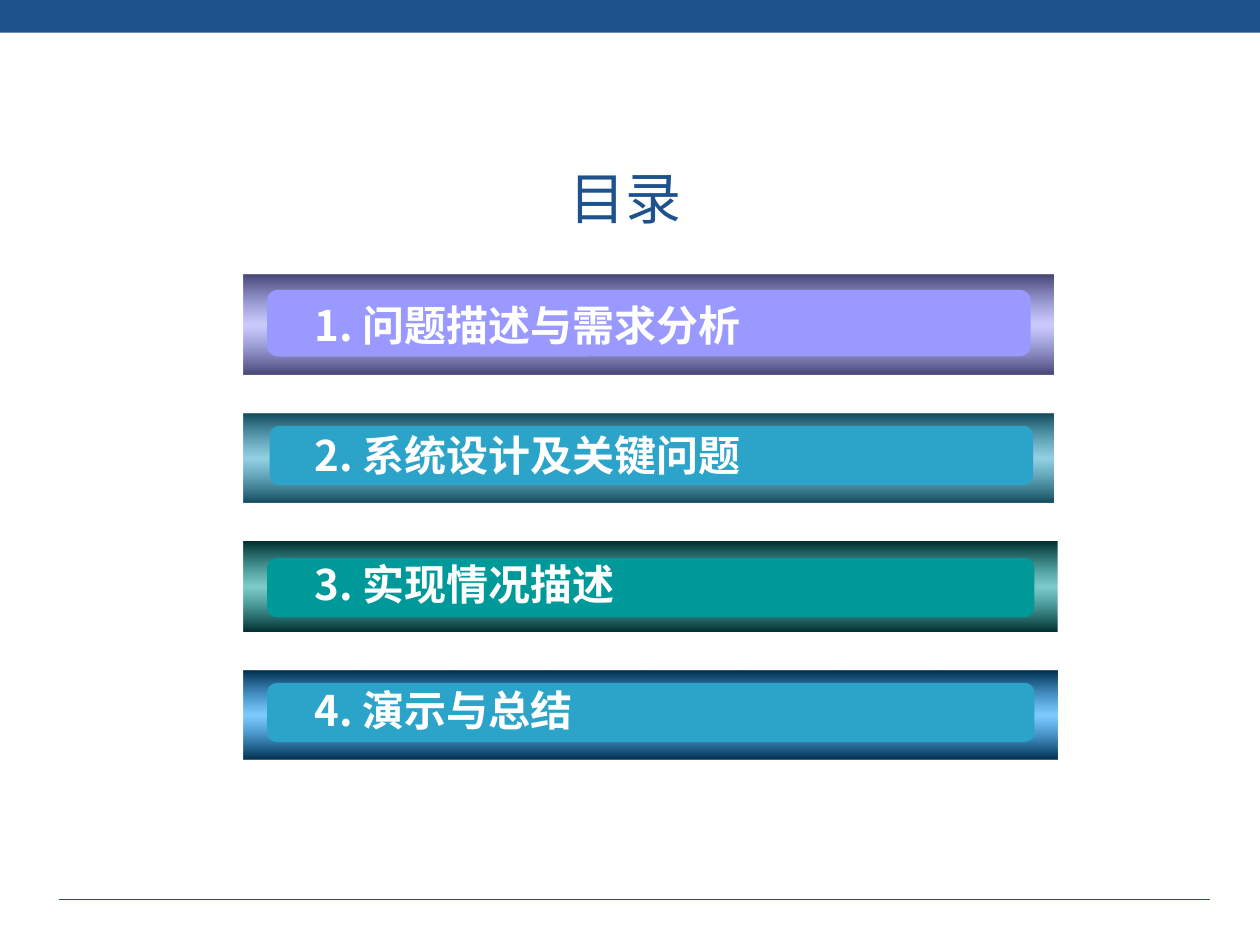
from dataclasses import dataclass

from lxml.etree import SubElement
from pptx import Presentation
from pptx.dml.color import RGBColor
from pptx.enum.shapes import MSO_CONNECTOR as Connector, MSO_SHAPE as Preset
from pptx.enum.text import MSO_ANCHOR as Anchor, PP_ALIGN as Align
from pptx.oxml.ns import qn
from pptx.util import Inches, Pt


@dataclass(frozen=True)
class Theme:
    """Colours, fonts and type sizes of the slide."""
    navy: str = "1D528D"
    white: str = "FFFFFF"
    title_font: str = "DejaVu Sans"
    body_font: str = "Noto Sans CJK SC"
    title_size: int = 32
    body_size: int = 24


@dataclass(frozen=True)
class Section:
    """One entry of the contents list; lengths are in inches."""
    label: str
    edge: str
    glow: str
    panel: str
    width: float = 6.43
    height: float = 0.71
    panel_left: float = 2.12
    panel_drop: float = 0.1
    panel_height: float = 0.47
    label_rise: float = 0.63


THEME = Theme()
WIDTH, HEIGHT = 10, 7.5
BAR_LEFT, FIRST_BOTTOM, ROW_PITCH = 1.93, 2.97, 1.02
PANEL_TRIM, LABEL_LEFT = 0.37, 2.4
SECTIONS = (
    Section("1. 问题描述与需求分析", "464675", "9999FF", "9999FF", height=0.79,
            panel_drop=0.12, panel_height=0.53, label_rise=0.64),
    Section("2. 系统设计及关键问题", "144B5C", "2CA3C8", "2CA3C8", panel_left=2.14),
    Section("3. 实现情况描述", "002E2E", "009999", "009999", width=6.46, panel_drop=0.13),
    Section("4. 演示与总结", "002E4C", "0099FF", "2CA3C8", width=6.46, label_rise=0.65),
)


def box(*lengths):
    """Turn left, top, width and height in inches into slide lengths."""
    return [Inches(length) for length in lengths]


def write(frame, text, size, color, font=THEME.body_font, bold=False, anchor=Anchor.TOP):
    """Put one formatted line of text into a text frame."""
    frame.word_wrap = True
    frame.vertical_anchor = anchor
    paragraph = frame.paragraphs[0]
    paragraph.alignment = Align.LEFT
    run = paragraph.add_run()
    run.text = text
    run.font.size, run.font.bold, run.font.name = Pt(size), bold, font
    run.font.color.rgb = RGBColor.from_string(color)
    SubElement(run.font._element, qn("a:ea"), typeface=THEME.body_font)


def add_block(shapes, preset, place, color):
    """Add a borderless preset shape with a solid fill."""
    block = shapes.add_shape(preset, *box(*place))
    block.shadow.inherit = False
    block.line.fill.background()
    block.fill.solid()
    block.fill.fore_color.rgb = RGBColor.from_string(color)
    return block


def shade(block, edge, glow):
    """Fill a block with a vertical gradient, half transparent at its middle."""
    block.fill.gradient()
    block.fill.gradient_angle = 270
    stops = block._element.spPr.find(qn("a:gradFill")).find(qn("a:gsLst"))
    for stop in list(stops):
        stops.remove(stop)
    for position, color in ((0, edge), (50, glow), (100, edge)):
        stop = SubElement(stops, qn("a:gs"), pos=str(position * 1000))
        tint = SubElement(stop, qn("a:srgbClr"), val=color)
        if position == 50:
            SubElement(tint, qn("a:alpha"), val="50000")


def add_section(slide, row, section):
    """Add one contents bar with its inner panel and label."""
    bottom = FIRST_BOTTOM + row * ROW_PITCH
    top = bottom - section.height
    group = slide.shapes.add_group_shape()
    bar = add_block(group.shapes, Preset.RECTANGLE,
                    (BAR_LEFT, top, section.width, section.height), section.edge)
    shade(bar, section.edge, section.glow)
    add_block(group.shapes, Preset.ROUNDED_RECTANGLE,
              (section.panel_left, top + section.panel_drop,
               section.width - PANEL_TRIM, section.panel_height), section.panel)
    label = slide.shapes.add_textbox(*box(LABEL_LEFT, bottom - section.label_rise, 4.9, 0.5))
    write(label.text_frame, section.label, THEME.body_size, THEME.white, bold=True)


def add_title(slide, text):
    """Place and format the title placeholder."""
    title = slide.shapes.title
    title.left, title.top, title.width, title.height = box(1.42, 1.23, 8.58, 0.67)
    title.text_frame.margin_left = Inches(3.1)
    write(title.text_frame, text, THEME.title_size, THEME.navy,
          font=THEME.title_font, anchor=Anchor.MIDDLE)


def add_rule(slide, left, right, y):
    """Add the thin line above the foot of the slide."""
    rule = slide.shapes.add_connector(Connector.STRAIGHT, *box(left, y, right, y))
    rule.line.width = Pt(0.75)
    rule.line.color.rgb = RGBColor.from_string(THEME.navy)
    SubElement(rule._element.spPr, qn("a:effectLst"))


def main():
    """Build the contents slide and save it."""
    deck = Presentation()
    deck.slide_width, deck.slide_height = Inches(WIDTH), Inches(HEIGHT)
    slide = deck.slides.add_slide(deck.slide_layouts[5])
    add_block(slide.shapes, Preset.RECTANGLE, (0, 0, WIDTH, 0.26), THEME.navy)
    add_rule(slide, 0.47, 9.6, 7.14)
    add_title(slide, "目录")
    for row, section in enumerate(SECTIONS):
        add_section(slide, row, section)
    deck.save("out.pptx")


if __name__ == "__main__":
    main()
